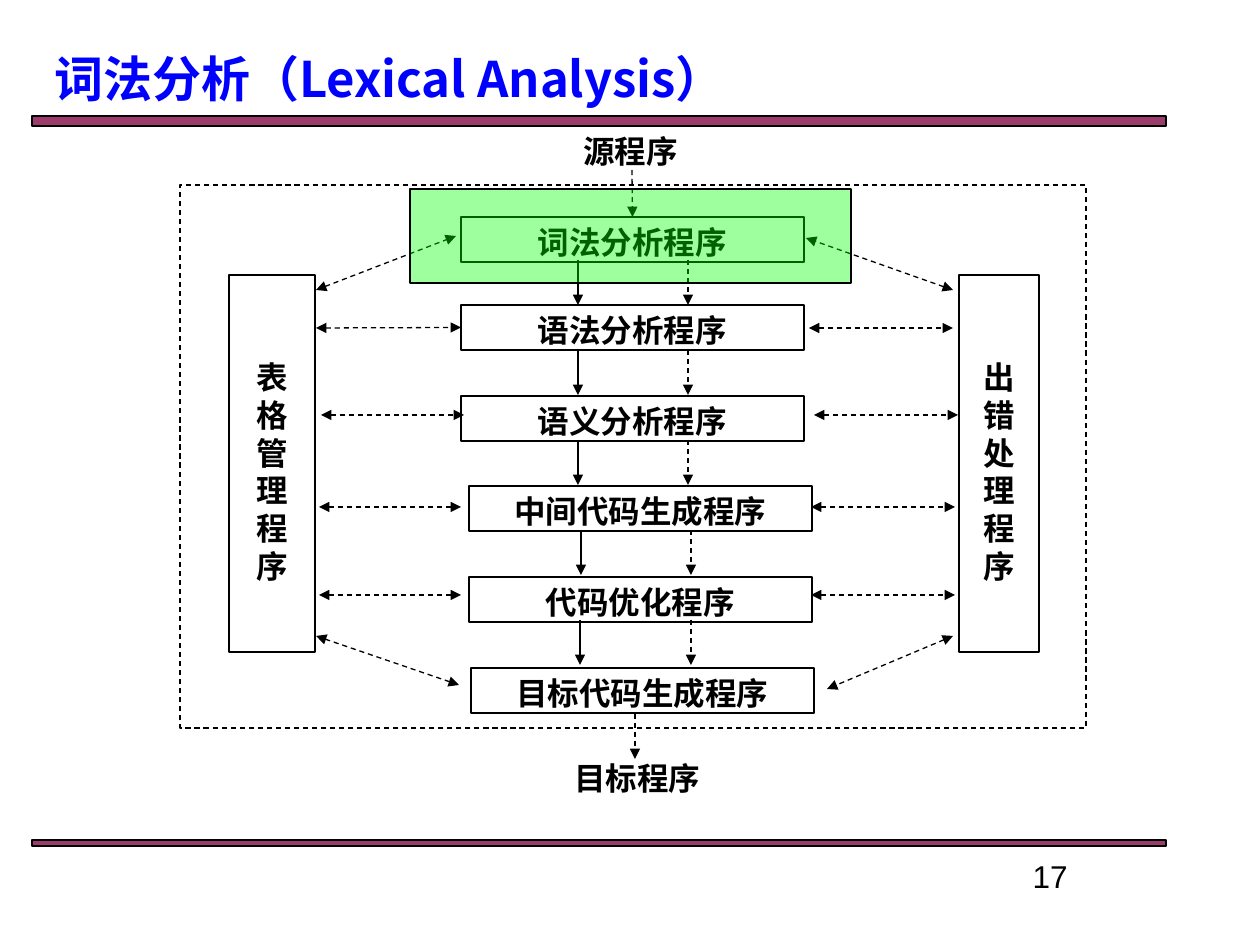
from lxml.etree import SubElement
from pptx import Presentation
from pptx.dml.color import RGBColor
from pptx.enum.dml import MSO_LINE
from pptx.enum.shapes import MSO_CONNECTOR, MSO_SHAPE
from pptx.enum.text import MSO_ANCHOR, PP_ALIGN
from pptx.oxml.ns import qn
from pptx.util import Emu, Pt

BLACK = RGBColor(0x00, 0x00, 0x00)
WHITE = RGBColor(0xFF, 0xFF, 0xFF)
BLUE = RGBColor(0x00, 0x00, 0xFF)
GREEN = RGBColor(0x00, 0xFF, 0x00)
PLUM = RGBColor(0x99, 0x33, 0x66)

LABEL = {"name": "Times New Roman", "size": Pt(18), "bold": True}
TITLE = {"name": "Noto Sans CJK SC", "size": Pt(28), "bold": True}
NUMBER = {"name": "Arial", "size": Pt(18), "bold": False}

STAGE_WIDTH, STAGE_HEIGHT = 343, 45
STAGES = [
    ("词法分析程序", 461, 217),
    ("语法分析程序", 461, 305),
    ("语义分析程序", 461, 396),
    ("中间代码生成程序", 469, 486),
    ("代码优化程序", 469, 577),
    ("目标代码生成程序", 471, 668),
]
FLOW_TOP, FLOW_STEP, FLOW_LENGTH = 260, 90, 45
FLOW_COLUMNS = [(578, 688), (578, 688), (578, 688), (581, 691), (580, 691)]
TABLE_LINKS = [
    (316, 290, 456, 236),
    (316, 328, 459, 328),
    (321, 415, 464, 415),
    (319, 507, 461, 507),
    (319, 595, 461, 595),
    (316, 636, 459, 685),
]
ERROR_LINKS = [
    (953, 290, 806, 238),
    (809, 328, 953, 328),
    (814, 415, 958, 415),
    (811, 507, 955, 507),
    (811, 595, 955, 595),
    (953, 636, 827, 689),
]


class Painter:
    def __init__(self, page, scale):
        self.page = page
        self.scale = scale

    def lengths(self, *values):
        return [Emu(round(value * self.scale)) for value in values]

    def outline(self, line, dashed):
        line.color.rgb = BLACK
        line.width = Pt(0.75)
        if dashed:
            line.dash_style = MSO_LINE.DASH

    def fill_text(self, box, text, style, color=BLACK, align=PP_ALIGN.CENTER,
                  anchor=MSO_ANCHOR.TOP, inset=6):
        frame = box.text_frame
        frame.word_wrap = True
        frame.vertical_anchor = anchor
        frame.margin_top, = self.lengths(inset)
        paragraph = frame.paragraphs[0]
        paragraph.alignment = align
        span = paragraph.add_run()
        span.text = text
        for key, value in style.items():
            setattr(span.font, key, value)
        span.font.color.rgb = color

    def label(self, area, text, style=LABEL, **options):
        box = self.page.shapes.add_textbox(*self.lengths(*area))
        self.fill_text(box, text, style, **options)

    def rectangle(self, area, fill=None, opacity=100, dashed=False):
        box = self.page.shapes.add_shape(MSO_SHAPE.RECTANGLE, *self.lengths(*area))
        box.shadow.inherit = False
        self.outline(box.line, dashed)
        if fill is None:
            box.fill.background()
        else:
            box.fill.solid()
            box.fill.fore_color.rgb = fill
        if opacity < 100:
            color = box._element.spPr.find(qn("a:solidFill"))[0]
            SubElement(color, qn("a:alpha"), val=str(opacity * 1000))
        return box

    def module(self, area, text, inset=6):
        box = self.rectangle(area, WHITE)
        self.fill_text(box, text, LABEL, inset=inset)
        return box

    def arrow(self, ends, dashed=True, double=False, target=None, side=0):
        connector = self.page.shapes.add_connector(
            MSO_CONNECTOR.STRAIGHT, *self.lengths(*ends))
        if target is not None:
            connector.end_connect(target, side)
        self.outline(connector.line, dashed)
        line = connector._element.spPr.find(qn("a:ln"))
        for tag in ("a:headEnd", "a:tailEnd") if double else ("a:tailEnd",):
            SubElement(line, qn(tag), type="triangle")
        SubElement(connector._element.spPr, qn("a:effectLst"))


def main():
    deck = Presentation()
    scale = 914400 / 126
    deck.slide_width, deck.slide_height = Emu(9144000), Emu(6858000)
    painter = Painter(deck.slides.add_slide(deck.slide_layouts[6]), scale)

    for top, height in ((116, 10), (840, 6)):
        painter.rectangle((32, top, 1134, height), PLUM, opacity=96)

    painter.label((459, 126, STAGE_WIDTH, STAGE_HEIGHT), "源程序")
    painter.label((466, 753, STAGE_WIDTH, STAGE_HEIGHT), "目标程序")
    stages = [painter.module((left, top, STAGE_WIDTH, STAGE_HEIGHT), text)
              for text, left, top in STAGES]
    painter.module((229, 275, 86, 377), "表格管理程序", inset=83)
    painter.module((959, 275, 80, 377), "出错处理程序", inset=83)

    painter.arrow((632, 170, 632, 217), target=stages[0])
    painter.arrow((635, 714, 635, 759))
    for index, columns in enumerate(FLOW_COLUMNS):
        top = FLOW_TOP + index * FLOW_STEP
        for x, dashed in zip(columns, (False, True)):
            painter.arrow((x, top, x, top + FLOW_LENGTH), dashed=dashed)
    for index, ends in enumerate(TABLE_LINKS):
        target = stages[1] if index == 1 else None
        painter.arrow(ends, double=True, target=target, side=1)
    for ends in ERROR_LINKS:
        painter.arrow(ends, double=True)

    painter.rectangle((180, 185, 906, 543), dashed=True)
    painter.rectangle((410, 189, 441, 94), GREEN, opacity=38)
    painter.label((903, 850, 294, 53), "17", NUMBER, anchor=MSO_ANCHOR.MIDDLE)
    painter.label((42, 42, 1134, 72), "词法分析（Lexical Analysis）", TITLE, color=BLUE,
                  align=PP_ALIGN.LEFT, anchor=MSO_ANCHOR.MIDDLE)
    deck.save("out.pptx")


if __name__ == "__main__":
    main()
